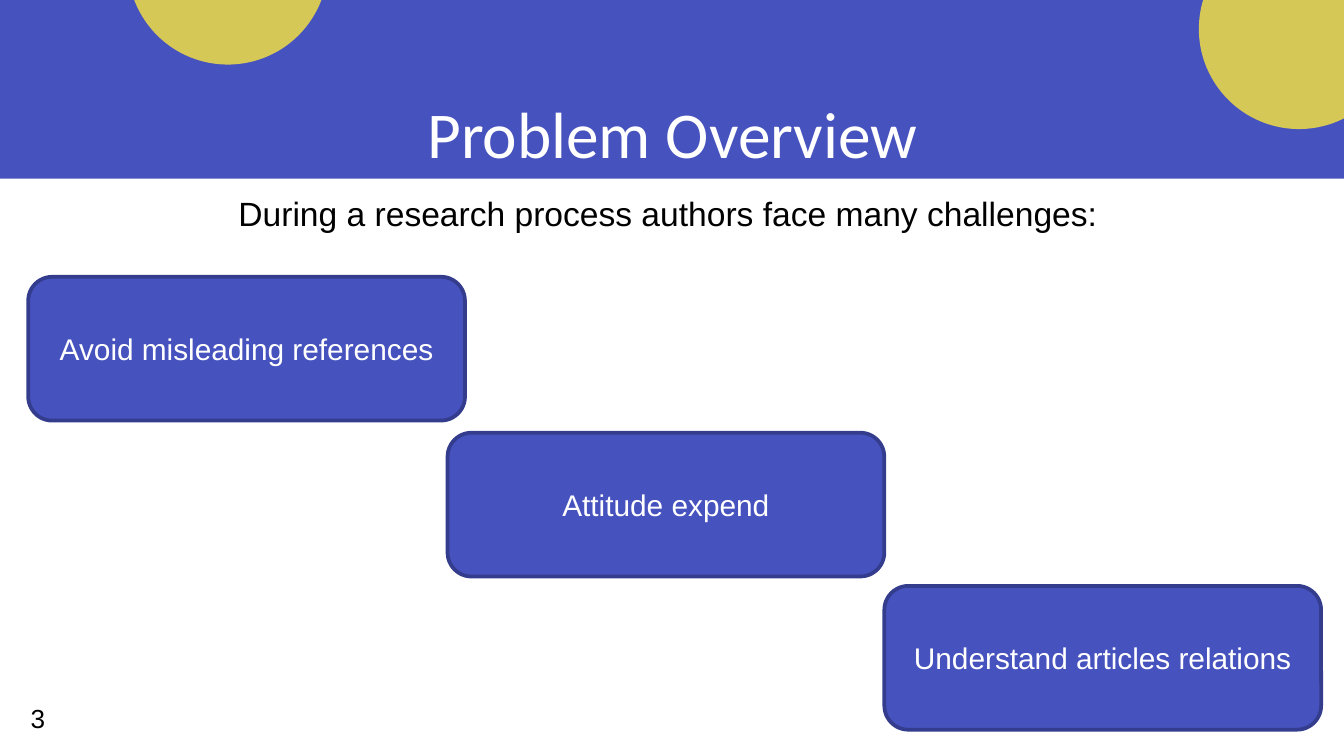
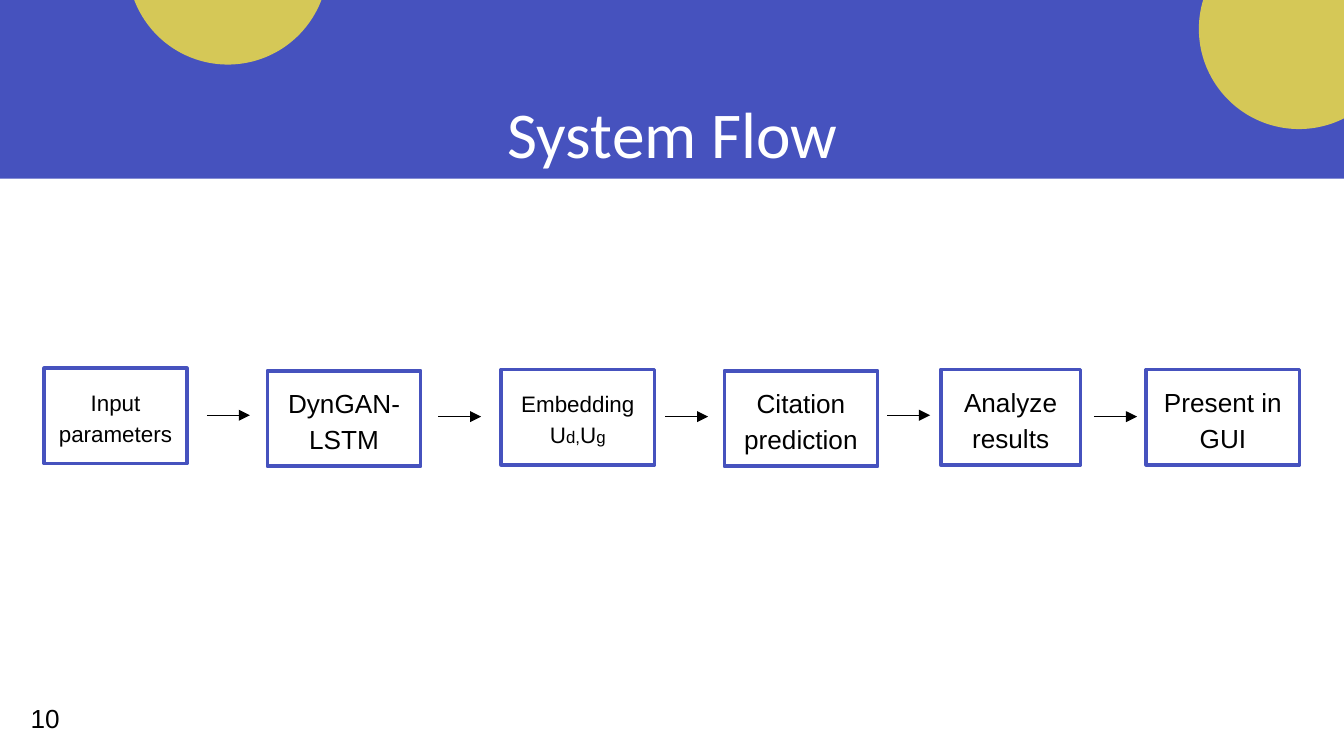
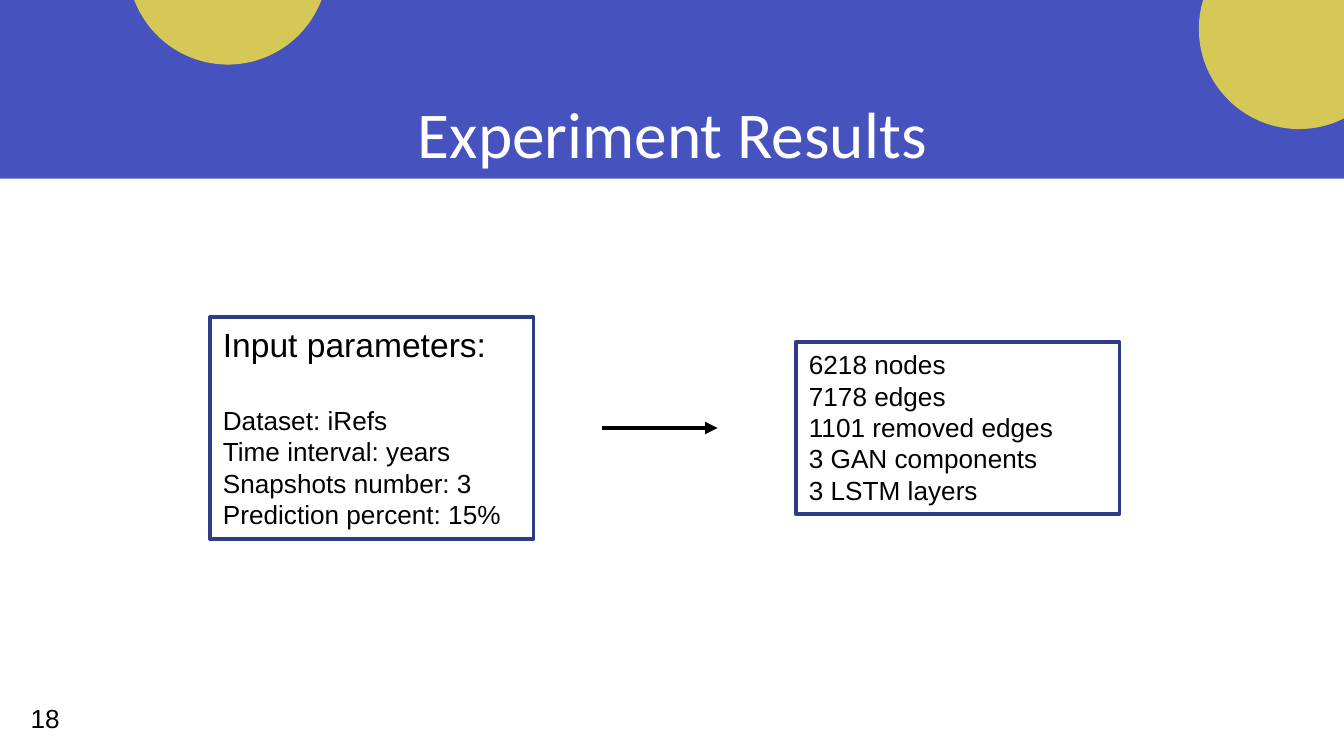
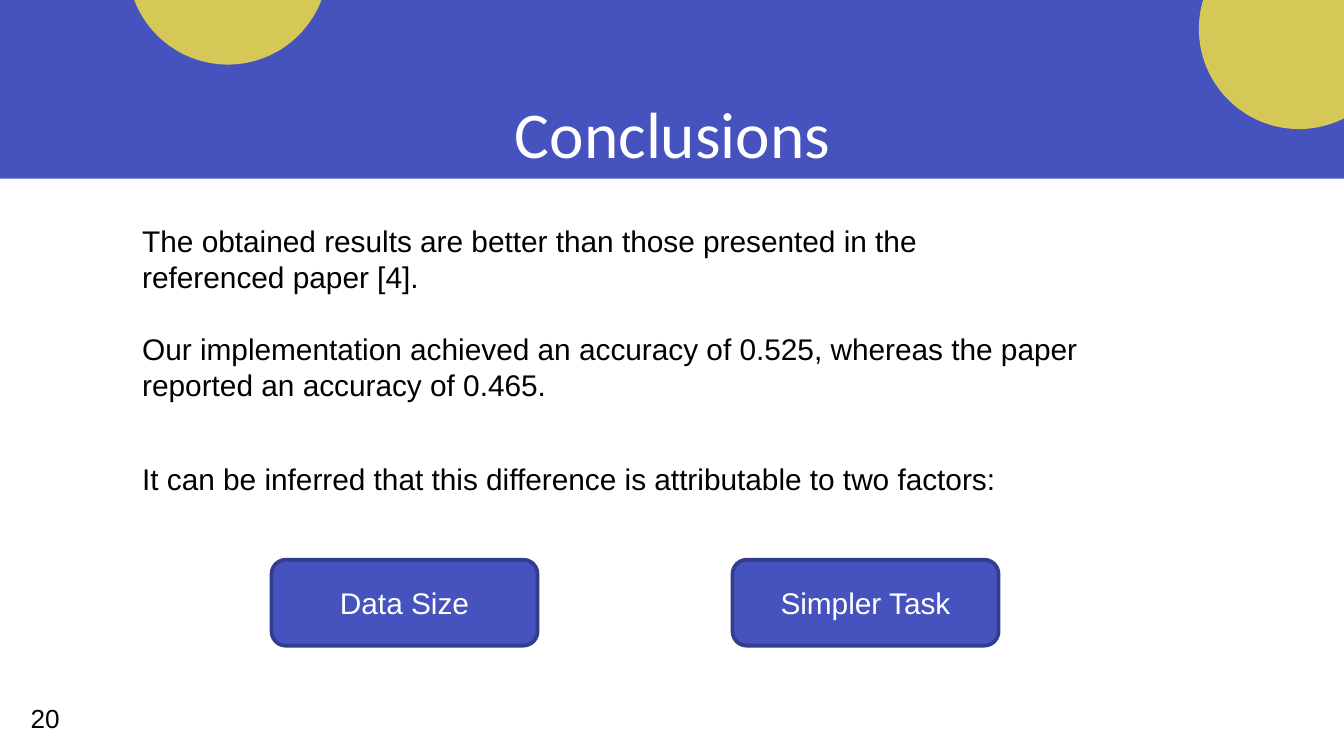
from dataclasses import dataclass
from typing import NamedTuple

from lxml.etree import SubElement
from pptx import Presentation
from pptx.dml.color import RGBColor
from pptx.enum.shapes import MSO_CONNECTOR, MSO_SHAPE
from pptx.enum.text import MSO_ANCHOR as Anchor, MSO_AUTO_SIZE as AutoSize, PP_ALIGN as Align
from pptx.oxml.ns import qn
from pptx.util import Emu, Inches, Pt


@dataclass(frozen=True)
class Theme:
    blue: str = "4652BE"
    yellow: str = "D5C857"
    white: str = "FFFFFF"
    black: str = "000000"
    card_edge: str = "343D8D"
    panel_edge: str = "2E3B89"
    title_font: str = "Calibri"
    body_font: str = "Arial"
    title_size: int = 35
    lead_size: int = 18
    text_size: int = 16
    list_size: int = 14
    small_size: int = 12
    index_size: int = 9
    edge_width: float = 2
    lead_gap: float = 21.6


THEME = Theme()
SLIDE_WIDTH = Inches(10)
SLIDE_HEIGHT = Emu(SLIDE_WIDTH * 9 // 16)
COLUMNS = 100  # square grid cells: 100 columns across, 56.25 rows down
CELL = SLIDE_WIDTH / COLUMNS


class Area(NamedTuple):
    """Left, top, width and height in grid cells."""
    left: float
    top: float
    width: float
    height: float


class Look(NamedTuple):
    kind: MSO_SHAPE
    fill: str
    edge: str | None = None


class Span(NamedTuple):
    text: str
    size: float


class Step(NamedTuple):
    text: str
    left: float
    top: float
    width: float
    size: float = THEME.list_size
    extra: tuple[Span, ...] = ()


BAND = Look(MSO_SHAPE.RECTANGLE, THEME.blue)
DISC = Look(MSO_SHAPE.OVAL, THEME.yellow)
CARD = Look(MSO_SHAPE.ROUNDED_RECTANGLE, THEME.blue, THEME.card_edge)
STEP_BOX = Look(MSO_SHAPE.RECTANGLE, THEME.white, THEME.blue)
PANEL = Look(MSO_SHAPE.RECTANGLE, THEME.white, THEME.panel_edge)

TITLE_AREA = Area(7.9, 5.9, 84.3, 6.3)
DECOR = (
    (BAND, Area(0, 0, COLUMNS, 13.3)),
    (DISC, Area(89.2, -5.3, 14.9, 14.9)),
    (DISC, Area(9.5, -10.1, 14.9, 14.9)),
)

CHALLENGES = (
    ("Avoid misleading references", 2.1, 20.6),
    ("Attitude expend", 33.3, 32.2),
    ("Understand articles relations", 65.8, 43.6),
)
STEPS = (
    Step("Input parameters", 3.3, 27.4, 10.6, THEME.small_size),
    Step("DynGAN-LSTM", 19.9, 27.6, 11.4),
    Step("Embedding U", 37.3, 27.5, 11.4, THEME.small_size,
         (Span("d,", THEME.index_size), Span("U", THEME.small_size), Span("g", THEME.index_size))),
    Step("Citation prediction", 53.9, 27.6, 11.4),
    Step("Analyze results", 70, 27.5, 10.4),
    Step("Present in GUI", 85.3, 27.5, 11.4),
)
STEP_ARROWS = ((15.4, 30.9), (32.6, 31), (49.5, 31), (66, 30.9), (81.4, 31))
PARAMETERS = ("Input parameters:\nDataset: iRefs\nTime interval: years\n"
              "Snapshots number: 3\nPrediction percent: 15%")
GRAPH_FACTS = ("6218 nodes\n7178 edges\n1101 removed edges\n"
               "3 GAN components\n3 LSTM layers")
FINDINGS = (
    ("The obtained results are better than those presented in the referenced paper [4].",
     Area(9.6, 16.1, 68.5, 6.4)),
    ("Our implementation achieved an accuracy of 0.525, whereas the paper reported "
     "an accuracy of 0.465.", Area(9.6, 24.1, 73.2, 6.4)),
    ("It can be inferred that this difference is attributable to two factors:",
     Area(9.6, 33.8, 79.4, 3.7)),
)
FACTORS = (("Data Size", 20.2), ("Simpler Task", 54.5))


# Drawing helpers
def cells(count: float) -> Emu:
    return Emu(round(count * CELL))


def place(shape, area: Area) -> None:
    shape.left, shape.top, shape.width, shape.height = map(cells, area)


def style_span(span, size: float, color: str = THEME.black, font: str = THEME.body_font) -> None:
    span.font.size, span.font.name = Pt(size), font
    span.font.color.rgb = RGBColor.from_string(color)


def write(shape, text: str, size: float, color: str = THEME.black,
          align: Align = Align.LEFT, font: str = THEME.body_font):
    frame = shape.text_frame
    frame.word_wrap = True
    frame.text = text
    for para in frame.paragraphs:
        para.alignment = align
        for span in para.runs:
            style_span(span, size, color, font)
    return frame


def set_margins(frame) -> None:
    frame.margin_left = frame.margin_right = cells(1)
    frame.margin_top = frame.margin_bottom = cells(1)


def add_box(page, look: Look, area: Area):
    box = page.shapes.add_shape(look.kind, *map(cells, area))
    box.shadow.inherit = False
    box.fill.solid()
    box.fill.fore_color.rgb = RGBColor.from_string(look.fill)
    if look.edge:
        box.line.color.rgb = RGBColor.from_string(look.edge)
        box.line.width = Pt(THEME.edge_width)
    else:
        box.line.fill.background()
    return box


def add_card(page, text: str, area: Area) -> None:
    card = add_box(page, CARD, area)
    frame = write(card, text, THEME.text_size, THEME.white, Align.CENTER)
    frame.vertical_anchor = Anchor.MIDDLE


def add_panel(page, text: str, area: Area):
    frame = write(add_box(page, PANEL, area), text, THEME.list_size)
    frame.vertical_anchor = Anchor.TOP
    frame.auto_size = AutoSize.SHAPE_TO_FIT_TEXT
    return frame


def add_text(page, text: str, area: Area, size: float, align: Align = Align.LEFT):
    box = page.shapes.add_textbox(*map(cells, area))
    frame = write(box, text, size, align=align)
    frame.auto_size = AutoSize.SHAPE_TO_FIT_TEXT
    return frame


def add_arrow(page, left: float, top: float, length: float, width: float) -> None:
    arrow = page.shapes.add_connector(
        MSO_CONNECTOR.STRAIGHT, cells(left), cells(top), cells(left + length), cells(top))
    arrow.line.color.rgb = RGBColor.from_string(THEME.black)
    arrow.line.width = Pt(width)
    properties = arrow.element.spPr
    SubElement(properties.find(qn("a:ln")), qn("a:tailEnd"), type="triangle")
    SubElement(properties, qn("a:effectLst"))


# Shared slide parts
def decorate_master(deck, page) -> None:
    tree = deck.slide_master.shapes.element
    for position, (look, area) in enumerate(DECOR, start=2):
        tree.insert(position, add_box(page, look, area).element)


def add_page(deck, title: str, number: int):
    page = deck.slides.add_slide(deck.slide_layouts.get_by_name("Title Only"))
    heading = page.shapes.title
    place(heading, TITLE_AREA)
    frame = write(heading, title, THEME.title_size, THEME.white, Align.CENTER, THEME.title_font)
    set_margins(frame)
    frame.vertical_anchor = Anchor.TOP
    frame.auto_size = AutoSize.NONE
    add_text(page, str(number), Area(1.3, 51.8, 6.6, 3.4), THEME.list_size)
    return page


# Slides
def build_overview(deck) -> None:
    page = add_page(deck, "Problem Overview", 3)
    decorate_master(deck, page)
    for text, left, top in CHALLENGES:
        add_card(page, text, Area(left, top, 32.5, 10.7))
    lead = add_text(page, "During a research process authors face many challenges: ",
                    TITLE_AREA._replace(top=13.35), THEME.lead_size, Align.CENTER)
    set_margins(lead)
    lead.auto_size = AutoSize.NONE


def build_flow(deck) -> None:
    page = add_page(deck, "System Flow", 10)
    for step in STEPS:
        box = add_box(page, STEP_BOX, Area(step.left, step.top, step.width, 7.1))
        frame = write(box, step.text, step.size, align=Align.CENTER)
        frame.vertical_anchor = Anchor.MIDDLE
        para = frame.paragraphs[0]
        para.line_spacing = 1.15
        for part in step.extra:
            span = para.add_run()
            span.text = part.text
            style_span(span, part.size)
    for left, top in STEP_ARROWS:
        add_arrow(page, left, top, 3.2, 0.5)


def build_results(deck) -> None:
    page = add_page(deck, "Experiment Results", 18)
    add_panel(page, GRAPH_FACTS, Area(59.2, 25.45, 24.1, 12.8))
    frame = add_panel(page, PARAMETERS, Area(15.6, 23.6, 24.1, 16.5))
    heading, first_item = frame.paragraphs[:2]
    heading.runs[0].font.size = Pt(THEME.lead_size)
    first_item.space_before = Pt(THEME.lead_gap)
    add_arrow(page, 44.8, 31.85, 8.6, 2.25)


def build_conclusions(deck) -> None:
    page = add_page(deck, "Conclusions", 20)
    for text, area in FINDINGS:
        add_text(page, text, area, THEME.text_size)
    for text, left in FACTORS:
        add_card(page, text, Area(left, 41.65, 19.8, 6.4))


def main() -> None:
    deck = Presentation()
    deck.slide_width, deck.slide_height = SLIDE_WIDTH, SLIDE_HEIGHT
    for build in (build_overview, build_flow, build_results, build_conclusions):
        build(deck)
    deck.save("out.pptx")


if __name__ == "__main__":
    main()
